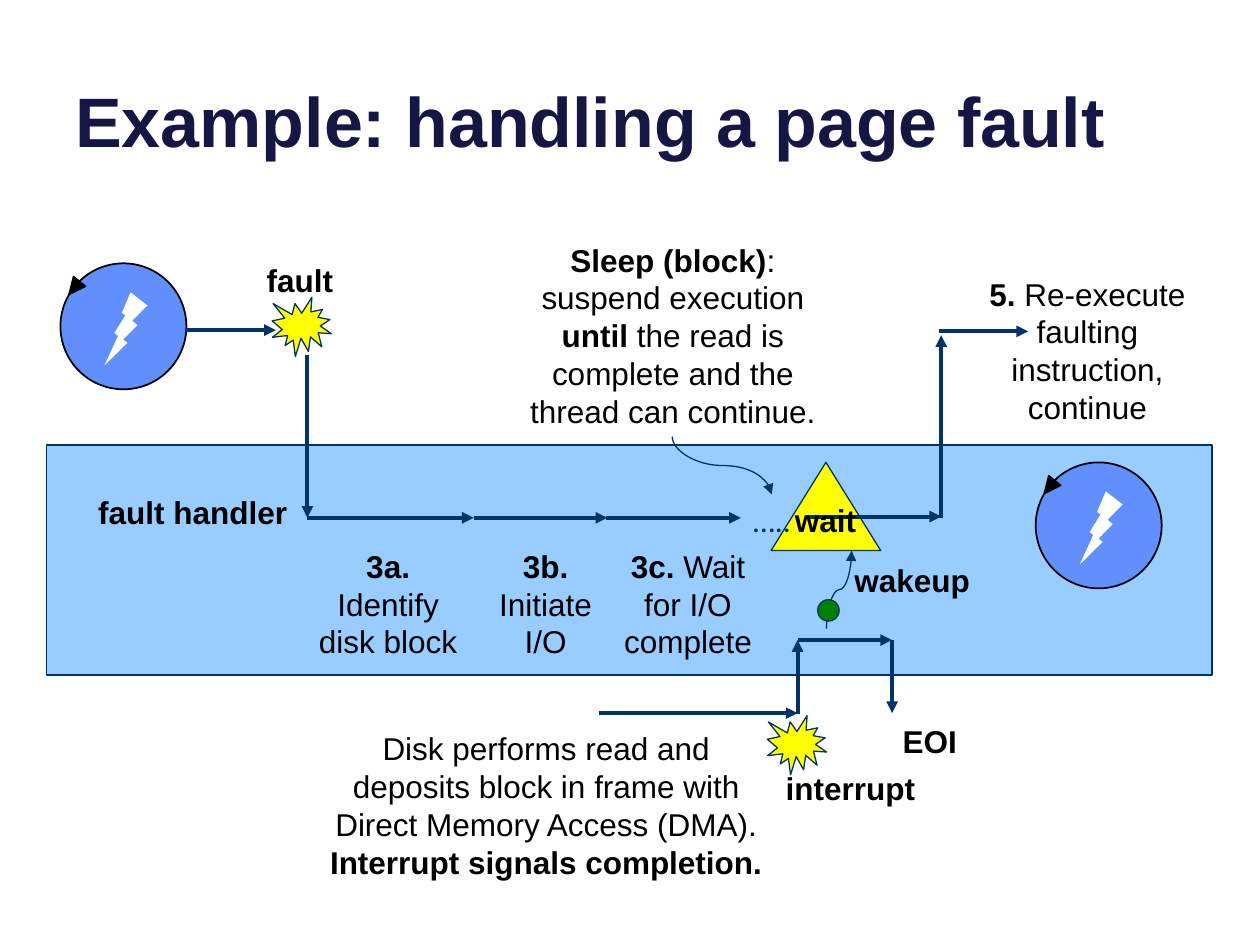
import pptx
import pptx.dml.color
import pptx.enum.shapes
import pptx.enum.text
import pptx.oxml.ns
import pptx.util
from lxml import etree
from pptx.util import Inches

RGBColor = pptx.dml.color.RGBColor
Shape = pptx.enum.shapes.MSO_SHAPE
Connector = pptx.enum.shapes.MSO_CONNECTOR
Align = pptx.enum.text.PP_ALIGN
Anchor = pptx.enum.text.MSO_ANCHOR
qn = pptx.oxml.ns.qn

BLACK = RGBColor(0x00, 0x00, 0x00)
WHITE = RGBColor(0xFF, 0xFF, 0xFF)
NAVY = RGBColor(0x00, 0x33, 0x67)
TITLE_INK = RGBColor(0x16, 0x16, 0x45)
BLUE = RGBColor(0x61, 0x8F, 0xFD)
SKY = RGBColor(0x99, 0xCC, 0xFF)
YELLOW = RGBColor(0xFF, 0xFF, 0x00)
GREEN = RGBColor(0x00, 0x80, 0x00)

presentation = pptx.Presentation()
presentation.slide_width = Inches(10)
presentation.slide_height = Inches(7.5)
slide = presentation.slides.add_slide(presentation.slide_layouts[6])


def add_shape(shapes, kind, box, fill, line=None, width=0.75, flip=None):
    shape = shapes.add_shape(kind, *map(Inches, box))
    shape.shadow.inherit = False
    shape.fill.solid()
    shape.fill.fore_color.rgb = fill
    if line is None:
        shape.line.fill.background()
    else:
        shape.line.color.rgb = line
        shape.line.width = pptx.util.Pt(width)
    if flip:
        shape._element.spPr.find(qn("a:xfrm")).set(flip, "1")
    return shape


def add_text(text, box, align=Align.CENTER, anchor=Anchor.TOP, wrap=True, **changes):
    """Write text in a box; the parts between asterisks are bold."""
    frame = slide.shapes.add_textbox(*map(Inches, box)).text_frame
    frame.word_wrap = wrap
    frame.vertical_anchor = anchor
    values = {"name": "Arial", "size": pptx.util.Pt(18)} | changes
    color = values.pop("color", BLACK)
    for index, line in enumerate(text.split("\n")):
        paragraph = frame.add_paragraph() if index else frame.paragraphs[0]
        paragraph.alignment = align
        for part, piece in enumerate(line.split("*")):
            if piece:
                run = paragraph.add_run()
                run.text = piece
                for name, value in (values | {"bold": part % 2 == 1}).items():
                    setattr(run.font, name, value)
                run.font.color.rgb = color


# Title
add_text("*Example: handling a page fault*", (0.5, 0.33, 9, 1), Align.LEFT,
         Anchor.BOTTOM, size=pptx.util.Pt(40), color=TITLE_INK)

# Kernel band
add_shape(slide.shapes, Shape.FLOWCHART_PROCESS, (0.37, 3.53, 9.25, 1.83), SKY, NAVY, 1)

# Running threads: circle, bolt and arrowhead
for left, top in [(0.48, 2.09), (8.22, 3.67)]:
    thread = slide.shapes.add_group_shape().shapes
    add_shape(thread, Shape.OVAL, (left, top, 1, 1), BLUE, BLACK, 1)
    add_shape(thread, Shape.LIGHTNING_BOLT, (left + 0.35, top + 0.23, 0.34, 0.58),
              WHITE, flip="flipH")
    arrowhead = add_shape(thread, Shape.ISOSCELES_TRIANGLE,
                          (left + 0.05, top + 0.13, 0.12, 0.13), BLACK, BLACK, 1)
    arrowhead.rotation = 219

# Fault and interrupt bursts
for left, top in [(2.16, 2.36), (6.09, 5.68)]:
    add_shape(slide.shapes, Shape.EXPLOSION1, (left, top, 0.47, 0.47), YELLOW, NAVY)

# Wait triangle
add_shape(slide.shapes, Shape.FLOWCHART_MERGE, (6.12, 3.67, 0.87, 0.7),
          YELLOW, NAVY, flip="flipV")

# Arrows: kind, start, end, width in points, rotation in degrees
arrows = [(Connector.STRAIGHT, start, end, 2.25, 0) for start, end in [
    ((1.48, 2.62), (2.19, 2.62)),
    ((2.44, 2.82), (2.44, 4.11)),
    ((2.44, 4.11), (3.76, 4.11)),
    ((3.76, 4.11), (4.82, 4.11)),
    ((4.81, 4.11), (5.88, 4.11)),
    ((6.4, 4.1), (7.47, 4.1)),
    ((7.47, 4.11), (7.47, 2.66)),
    ((7.45, 2.63), (8.16, 2.63)),
    ((4.75, 5.66), (6.33, 5.66)),
    ((6.33, 5.67), (6.33, 5.08)),
    ((6.33, 5.08), (7.08, 5.08)),
    ((7.08, 5.08), (7.08, 5.66)),
]]
arrows += [
    (Connector.CURVE, (5.96, 3.3), (5.5, 4.09), 0.75, 270),
    (Connector.CURVE, (6.97, 4.78), (6.35, 4.58), 0.75, 90),
]
for kind, start, end, width, rotation in arrows:
    arrow = slide.shapes.add_connector(kind, *map(Inches, start + end))
    arrow.line.color.rgb = NAVY
    arrow.line.width = pptx.util.Pt(width)
    properties = arrow._element.spPr
    if rotation:
        properties.find(qn("a:xfrm")).set("rot", str(rotation * 60000))
    etree.SubElement(properties.find(qn("a:ln")), qn("a:tailEnd"), type="triangle")
    etree.SubElement(properties, qn("a:effectLst"))

# Wakeup signal
add_shape(slide.shapes, Shape.OVAL, (6.49, 4.76, 0.17, 0.17), GREEN, NAVY)

# Labels and explanations
for text, box in [
    ("*fault*", (1.77, 2.02, 1.22, 0.41)),
    ("*fault handler*", (0.65, 3.86, 1.76, 0.41)),
    ("*3a. *Identify disk block", (2.42, 4.29, 1.32, 1.01)),
    ("*3b. *Initiate I/O", (3.67, 4.29, 1.32, 1.01)),
    ("*3c. *Wait for I/O complete", (4.82, 4.29, 1.28, 1.01)),
    ("*5. *Re-execute faulting instruction, continue", (7.57, 2.13, 2.12, 1.32)),
    ("*Sleep (block)*: suspend execution* until *the read is complete and the "
     "thread can continue.", (3.95, 1.86, 2.78, 1.62)),
    ("Disk performs read and deposits block in frame with Direct Memory Access "
     "(DMA).\n*Interrupt signals completion.*", (2.51, 5.74, 3.65, 1.32)),
    ("*EOI*", (7, 5.68, 0.76, 0.41)),
    ("*interrupt*", (5.95, 6.05, 1.6, 0.41)),
    ("*wakeup*", (6.44, 4.4, 1.6, 0.41)),
]:
    add_text(text, box)
add_text("*wait*", (6.21, 3.93, 0.69, 0.4), Align.LEFT, wrap=False)
add_text("…..", (5.88, 3.93, 0.5, 0.4), Align.LEFT, wrap=False, name="Calibri", color=NAVY)

presentation.save("out.pptx")
